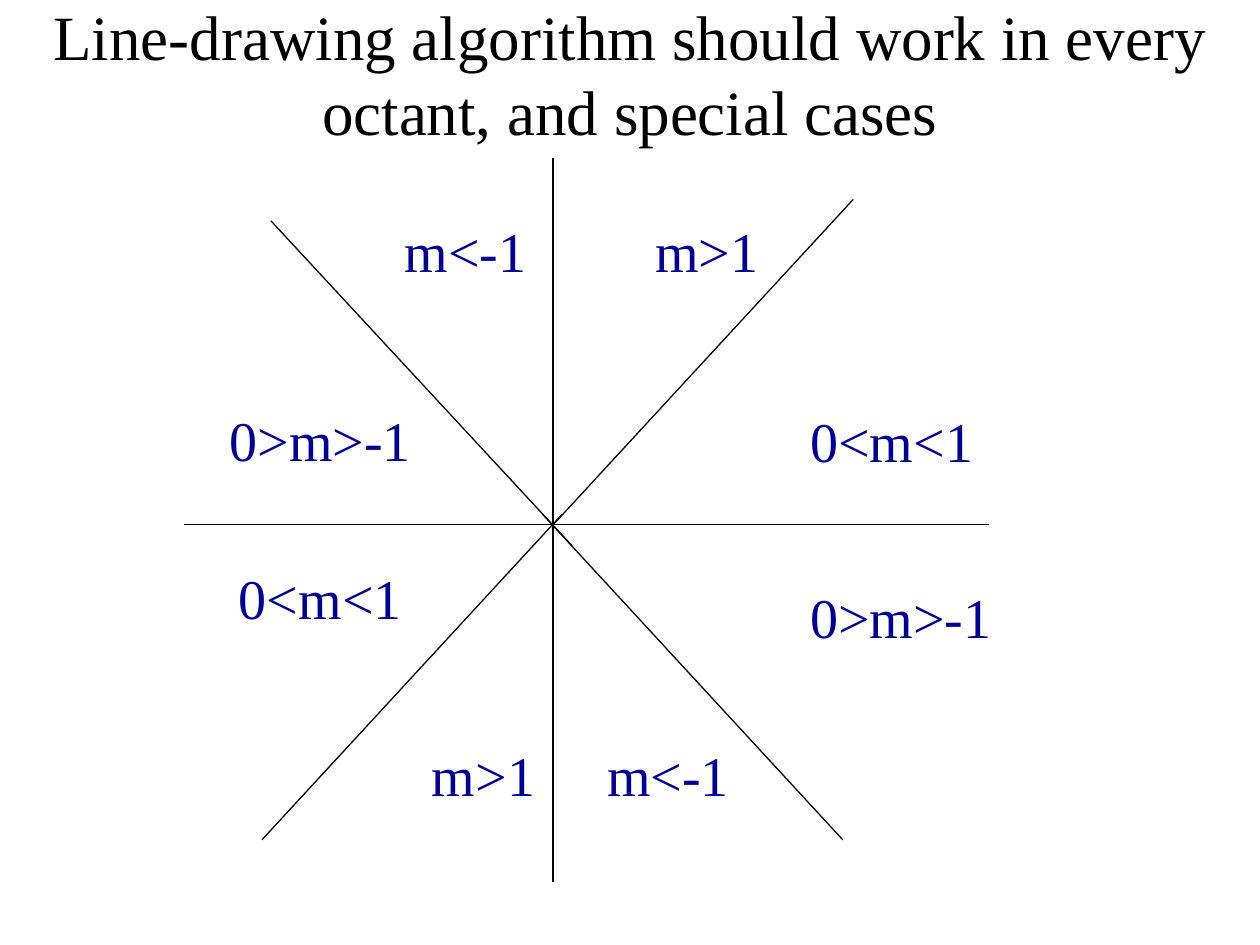
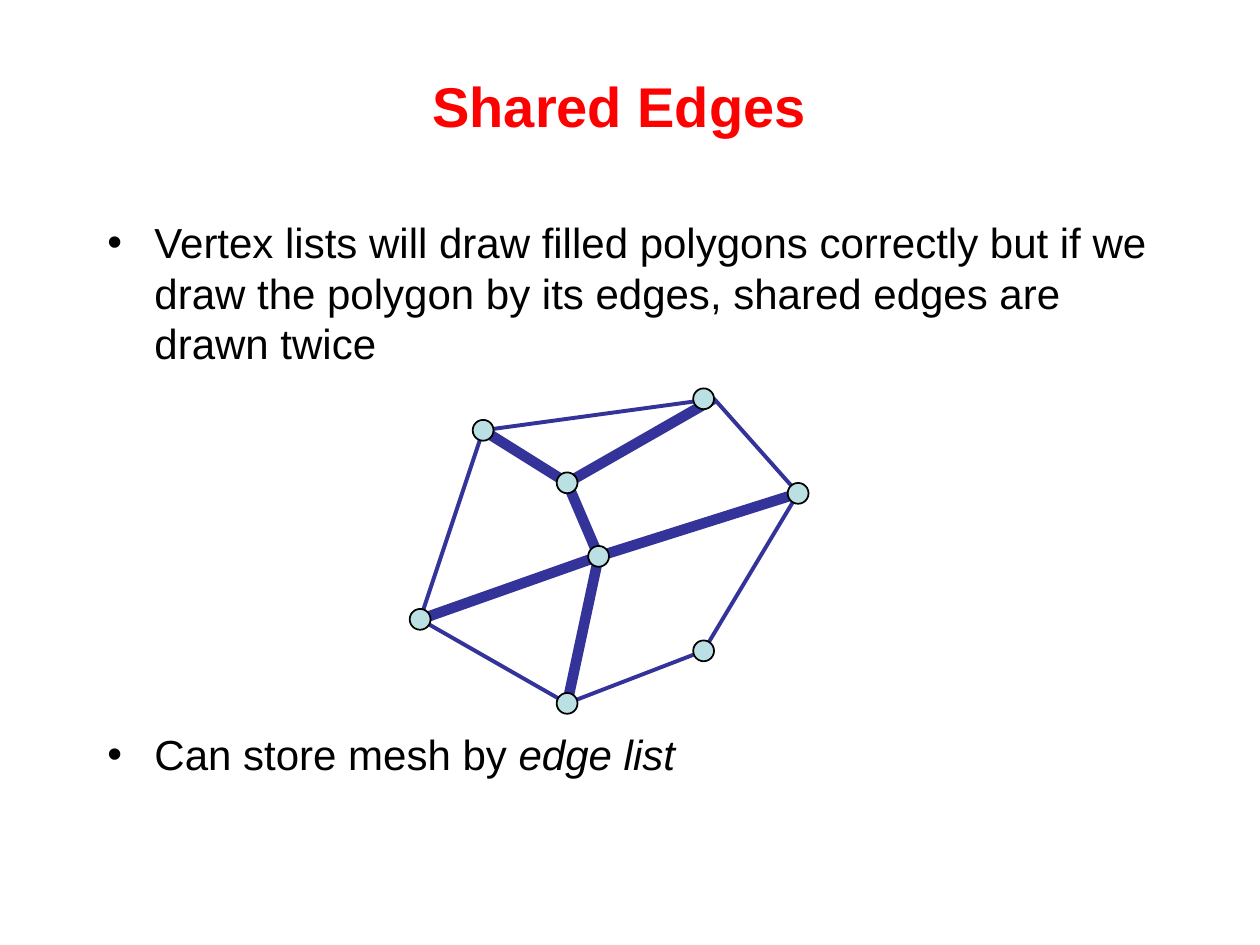
from lxml import etree
from pptx import Presentation
from pptx import util as u
from pptx.dml.color import RGBColor
from pptx.enum import shapes, text
from pptx.oxml.ns import qn

BLACK, RED = "000000", "FF0000"
LABEL, EDGE, NODE = "000099", "333399", "BBE0E3"
SERIF, SANS = "Times New Roman", "Arial"


def rgb(color):
    return RGBColor.from_string(color)


def place(sp, box):
    sp.left, sp.top, sp.width, sp.height = (u.Cm(v) for v in box)


def style(p, size, name, color, bold=False):
    for r in p.runs:
        f = r.font
        f.size, f.name, f.bold = u.Pt(size), name, bold
        f.color.rgb = rgb(color)


def add_title(s, box, title, size, name, color, bold=False):
    sp = s.shapes.title
    place(sp, box)
    tf = sp.text_frame
    tf.text = title
    tf.auto_size = text.MSO_AUTO_SIZE.NONE
    tf.vertical_anchor = text.MSO_ANCHOR.MIDDLE
    p = tf.paragraphs[0]
    p.alignment = text.PP_ALIGN.CENTER
    p.space_before = u.Pt(0)
    style(p, size, name, color, bold)


def add_line(parent, start, end, color, width):
    c = parent.add_connector(shapes.MSO_CONNECTOR.STRAIGHT,
                             *(u.Cm(v) for v in (*start, *end)))
    c.line.color.rgb = rgb(color)
    c.line.width = u.Pt(width)
    etree.SubElement(c._element.spPr, qn("a:effectLst"))


def add_label(s, center, label, width=8.6, height=1.6):
    x, y = center
    sp = s.shapes.add_textbox(0, 0, 0, 0)
    place(sp, (x - width / 2, y - height / 2, width, height))
    tf = sp.text_frame
    tf.text = label
    tf.word_wrap = True
    tf.vertical_anchor = text.MSO_ANCHOR.MIDDLE
    p = tf.paragraphs[0]
    p.alignment = text.PP_ALIGN.CENTER
    style(p, 32, SERIF, LABEL)


def add_octants(s, box):
    left, top, width, height = box
    cx, cy = left + 7.44, top + 7.4
    lines = [((cx, top), (cx, top + height)),
             ((left, cy), (left + width, cy)),
             ((cx, cy), (cx + 6.05, cy - 6.56)),
             ((cx - 5.87, cy + 6.35), (cx + 0.18, cy - 0.21)),
             ((cx + 0.38, cy + 0.42), (cx - 5.69, cy - 6.13)),
             ((cx + 5.84, cy + 6.35), (cx - 0.21, cy - 0.21))]
    for start, end in lines:
        add_line(s.shapes, start, end, BLACK, 0.75)
    labels = [("0<m<1", 6.83, -1.7), ("0>m>-1", 7.01, 1.85),
              ("m>1", 3.1, -5.54), ("m>1", -1.4, 5.03),
              ("0<m<1", -4.69, 1.45), ("0>m>-1", -4.69, -1.73),
              ("m<-1", 2.32, 5.03), ("m<-1", -1.76, -5.54)]
    for label, dx, dy in labels:
        add_label(s, (cx + dx, cy + dy), label)


def add_bullets(s, box, items, gap):
    sp = s.placeholders[1]
    place(sp, box)
    tf = sp.text_frame
    tf.auto_size = text.MSO_AUTO_SIZE.NONE
    for i, (plain, italic) in enumerate(items):
        p = tf.paragraphs[0] if i == 0 else tf.add_paragraph()
        p.space_before = u.Pt(gap if i else 0)
        pPr = p._p.get_or_add_pPr()
        pPr.set("marL", str(u.Cm(0.95)))
        pPr.set("indent", str(u.Cm(-0.95)))
        etree.SubElement(pPr, qn("a:buFont")).set("typeface", SANS)
        etree.SubElement(pPr, qn("a:buChar")).set("char", "•")
        p.add_run().text = plain
        if italic:
            p.add_run().text = italic
        style(p, 24, SANS, BLACK)
        if italic:
            p.runs[-1].font.italic = True


def add_mesh(s, box):
    left, top, width, height = box
    dx, dy = width / 36, height / 29

    def at(point):
        return left + point[0] * dx, top + point[1] * dy

    outline = [(0, 21), (6, 3), (28, 0), (36, 9), (27, 24), (14, 29)]
    west, northwest, north, east, southeast, south = outline
    hub, inner = (17, 15), (14, 8)
    g = s.shapes.add_group_shape().shapes

    points = [tuple(u.Cm(v) for v in at(point)) for point in outline]
    fb = g.build_freeform(*points[0])
    fb.add_line_segments(points[1:], close=True)
    sp = fb.convert_to_shape()
    sp.shadow.inherit = False
    sp.fill.background()
    sp.line.color.rgb = rgb(EDGE)
    sp.line.width = u.Pt(2.25)

    shared = [(west, hub), (hub, south), (hub, east), (hub, inner),
              (inner, north), (inner, northwest)]
    for start, end in shared:
        add_line(g, at(start), at(end), EDGE, 6)

    size = 0.42
    for node in (west, northwest, hub, south, southeast, inner, east, (27, 0)):
        x, y = at(node)
        sp = g.add_shape(shapes.MSO_SHAPE.OVAL, 0, 0, 0, 0)
        place(sp, (x - size / 2, y - size / 2, size, size))
        sp.shadow.inherit = False
        sp.fill.solid()
        sp.fill.fore_color.rgb = rgb(NODE)
        sp.line.color.rgb = rgb(BLACK)
        sp.line.width = u.Pt(1)


def octant_slide(prs):
    s = prs.slides.add_slide(prs.slide_layouts[5])
    add_octants(s, (3.71, 3.18, 16.23, 14.6))
    add_title(s, (0, -0.18, 25.4, 3.3),
              "Line-drawing algorithm should work in every octant, "
              "and special cases", 36, SERIF, BLACK)


def shared_edges_slide(prs):
    s = prs.slides.add_slide(prs.slide_layouts[1])
    add_title(s, (3.81, 0.64, 17.35, 2.97), "Shared Edges", 32, SANS, RED, True)
    add_bullets(s, (1.91, 4.24, 21.59, 13.13), [
        ("Vertex lists will draw filled polygons correctly but if we draw "
         "the polygon by its edges, shared edges are drawn twice", ""),
        ("Can store mesh by ", "edge list")], 206)
    add_mesh(s, (8.47, 8.04, 7.62, 6.14))


def main():
    prs = Presentation()
    prs.slide_width, prs.slide_height = u.Cm(25.4), u.Cm(19.05)
    octant_slide(prs)
    shared_edges_slide(prs)
    prs.save("out.pptx")


if __name__ == "__main__":
    main()
